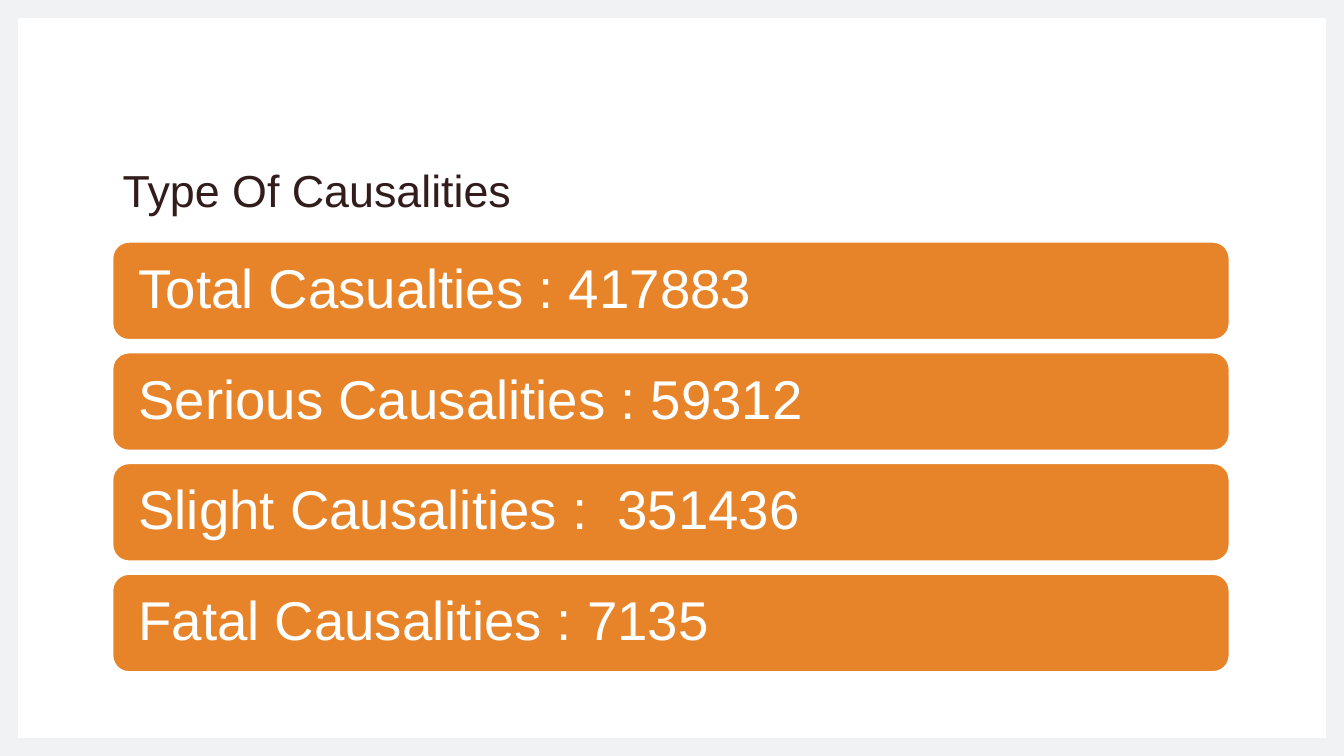
from dataclasses import dataclass

from pptx import Presentation
from pptx.dml.color import RGBColor
from pptx.enum.shapes import MSO_SHAPE
from pptx.enum.text import MSO_ANCHOR, MSO_AUTO_SIZE, PP_ALIGN
from pptx.slide import Slide
from pptx.text.text import TextFrame
from pptx.util import Cm, Pt

FRAME = MSO_SHAPE.FRAME
ROUND = MSO_SHAPE.ROUNDED_RECTANGLE
LEFT = PP_ALIGN.LEFT
MIDDLE = MSO_ANCHOR.MIDDLE
BOTTOM = MSO_ANCHOR.BOTTOM
NO_FIT = MSO_AUTO_SIZE.NONE

WIDE, HIGH = 33.87, 19.05
EDGE, SPAN = 2.84, 28.14
FIRST, STEP, TALL = 6.1, 2.79, 2.46


@dataclass
class Bar:
    text: str
    top: float


LABELS = [
    "Total Casualties : 417883",
    "Serious Causalities : 59312",
    "Slight Causalities :  351436",
    "Fatal Causalities : 7135",
]
BARS = [Bar(text, FIRST + i * STEP) for i, text in enumerate(LABELS)]


def color(code: str) -> RGBColor:
    return RGBColor.from_string(code)


def write(frame: TextFrame, text: str, size: float, code: str,
          lead: float, inset: float) -> None:
    frame.text = text
    frame.word_wrap = True
    frame.auto_size = NO_FIT
    frame.margin_left = frame.margin_right = Cm(inset)
    para = frame.paragraphs[0]
    para.alignment = LEFT
    para.line_spacing = lead
    para.space_before = Pt(0)
    font = para.runs[0].font
    font.name = "Arial"
    font.size = Pt(size)
    font.color.rgb = color(code)


def add_frame(slide: Slide) -> None:
    rim = slide.shapes.add_shape(FRAME, 0, 0, Cm(WIDE), Cm(HIGH))
    rim.adjustments[0] = 0.45 / HIGH
    rim.shadow.inherit = False
    rim.fill.solid()
    rim.fill.fore_color.rgb = color("F0F2F3")
    rim.line.fill.background()


def add_title(slide: Slide) -> None:
    title = slide.shapes.title
    title.left, title.top = Cm(EDGE), Cm(2)
    title.width, title.height = Cm(SPAN), Cm(3.58)
    write(title.text_frame, "Type Of Causalities", 32, "321C1C", 1.1, 0.25)
    title.text_frame.vertical_anchor = BOTTOM


def add_bar(slide: Slide, bar: Bar) -> None:
    shape = slide.shapes.add_shape(
        ROUND, Cm(EDGE), Cm(bar.top), Cm(SPAN), Cm(TALL))
    shape.shadow.inherit = False
    shape.fill.solid()
    shape.fill.fore_color.rgb = color("E78429")
    shape.line.color.rgb = color("FFFFFF")
    shape.line.width = Pt(1)
    write(shape.text_frame, bar.text, 39, "FFFFFF", 0.9, 0.53)
    shape.text_frame.vertical_anchor = MIDDLE


def main() -> None:
    deck = Presentation()
    deck.slide_width, deck.slide_height = Cm(WIDE), Cm(HIGH)
    slide = deck.slides.add_slide(deck.slide_layouts[5])

    # Background and border
    slide.background.fill.solid()
    slide.background.fill.fore_color.rgb = color("FFFFFF")
    add_frame(slide)

    # Heading
    add_title(slide)

    # Casualty counts
    for bar in BARS:
        add_bar(slide, bar)

    deck.save("out.pptx")


if __name__ == "__main__":
    main()
